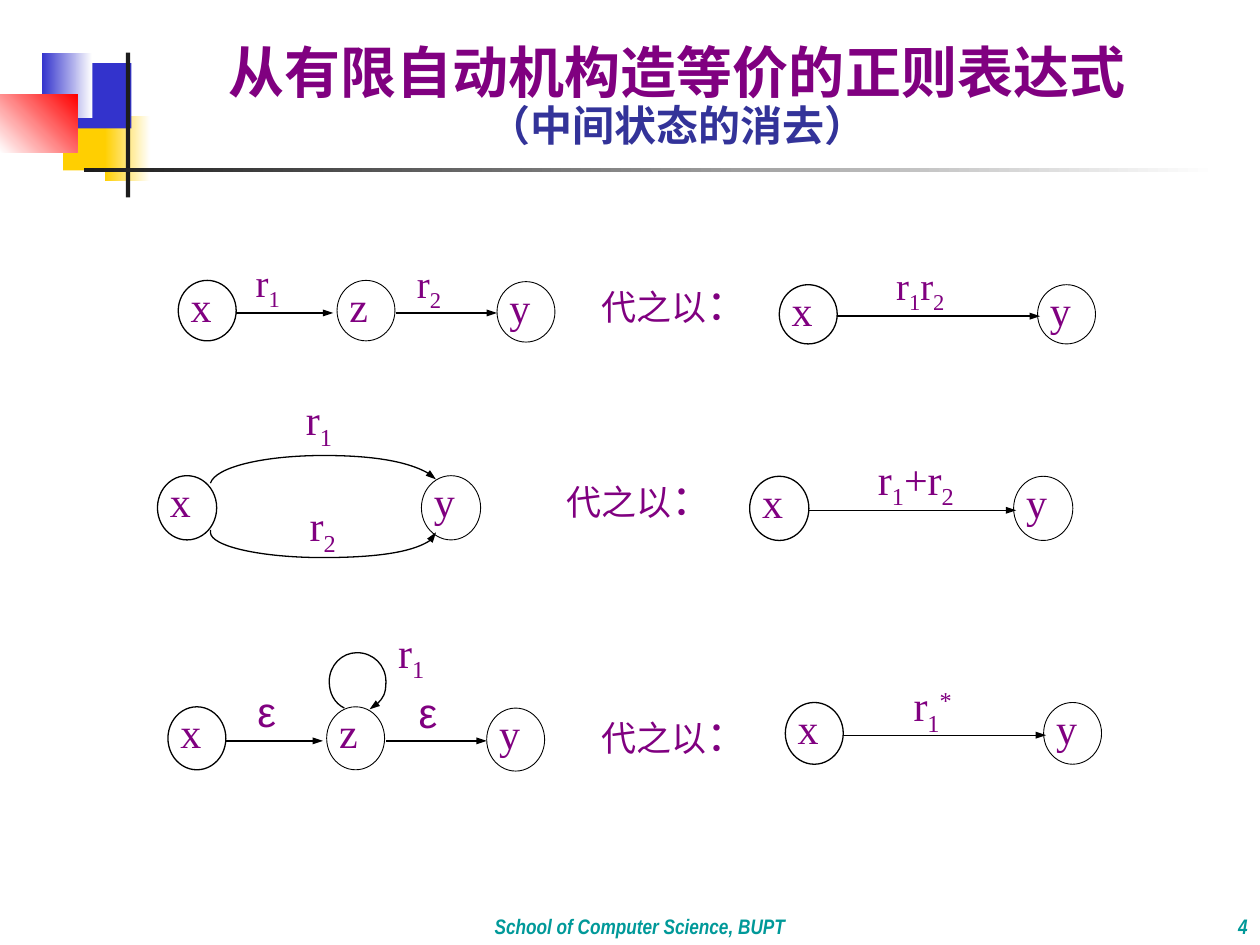
from dataclasses import dataclass
import itertools

from lxml import etree
from pptx import Presentation
from pptx.dml.color import RGBColor
from pptx.enum import shapes, text
from pptx.oxml.ns import qn
from pptx.util import Inches, Pt


@dataclass(frozen=True)
class Theme:
    purple: str = "800080"
    indigo: str = "333399"
    teal: str = "009999"
    blue: str = "3333CC"
    yellow: str = "FFCF01"
    red: str = "FF0000"
    ink: str = "1C1C1C"
    black: str = "000000"
    white: str = "FFFFFF"
    serif: str = "Times New Roman"
    sans: str = "Arial"
    narrow: str = "Arial Narrow"
    cjk: str = "Noto Sans CJK SC"
    title: float = 32
    subtitle: float = 24
    body: float = 24
    small_label: float = 22.2
    phrase: float = 20
    footer: float = 12
    thick: float = 0.75
    thin: float = 0.5


T = Theme()
COLUMNS, ROWS = 100, 75
SLIDE_W, SLIDE_H = Inches(10), Inches(7.5)
LEFT, CENTER, RIGHT = text.PP_ALIGN.LEFT, text.PP_ALIGN.CENTER, text.PP_ALIGN.RIGHT


def rgb(color):
    return RGBColor.from_string(color)


def grid(*values):
    """Turn alternating columns and rows into slide lengths."""
    return [round(v * (SLIDE_H / ROWS if i % 2 else SLIDE_W / COLUMNS))
            for i, v in enumerate(values)]


def add_run(p, words, size=T.body, font=T.serif, color=T.purple, bold=False,
            italic=False, shift=0):
    r = p.add_run()
    r.text = words
    f = r.font
    f.size, f.name, f.bold, f.italic = Pt(size), font, bold, italic
    f.color.rgb = rgb(color)
    rpr = r._r.get_or_add_rPr()
    if shift:
        rpr.set("baseline", str(shift * 1000))
    etree.SubElement(rpr, qn("a:ea"), typeface=T.cjk)


def text_box(slide, box, align=LEFT, anchor=text.MSO_ANCHOR.TOP, indent=0):
    """Add a box and return its first paragraph; indent is in columns."""
    tf = slide.shapes.add_textbox(*grid(*box)).text_frame
    tf.word_wrap = True
    tf.vertical_anchor = anchor
    tf.margin_left = grid(1 + indent)[0]
    p = tf.paragraphs[0]
    p.alignment = align
    return p


def label(slide, box, formula, indent=0, size=T.body):
    """Write a formula in which _ lowers and ^ raises the next character."""
    p = text_box(slide, box, indent=indent)
    shifts = []
    for before, ch in zip(" " + formula, formula):
        if ch not in "_^":
            shifts.append((ch, {"_": -25, "^": 30}.get(before, 0)))
    for shift, part in itertools.groupby(shifts, key=lambda pair: pair[1]):
        words = "".join(ch for ch, _ in part)
        add_run(p, words, size, T.sans if words == "ε" else T.serif, shift=shift)


def outline(sp, width, arrow=False):
    sp.line.color.rgb = rgb(T.black)
    sp.line.width = Pt(width)
    if arrow:
        ln = sp._element.spPr.find(qn("a:ln"))
        etree.SubElement(ln, qn("a:tailEnd"), type="triangle", w="sm", len="med")


def straight_arrow(slide, x1, x2, y):
    sp = slide.shapes.add_connector(shapes.MSO_CONNECTOR.STRAIGHT, *grid(x1, y, x2, y))
    outline(sp, T.thick, arrow=True)
    etree.SubElement(sp._element.spPr, qn("a:effectLst"))


def curved_arrow(slide, x, y, start, *points):
    """Draw cubic curves, three points each, relative to (x, y)."""
    placed = [tuple(grid(x + px, y + py)) for px, py in (start,) + points]
    builder = slide.shapes.build_freeform(*placed[0])
    builder.add_line_segments(placed[1:], close=False)
    sp = builder.convert_to_shape()
    outline_path = next(sp._element.iter(qn("a:path")))
    segments = outline_path.findall(qn("a:lnTo"))
    for i in range(0, len(segments), 3):
        curve = etree.SubElement(outline_path, qn("a:cubicBezTo"))
        for segment in segments[i:i + 3]:
            curve.append(segment[0])
            outline_path.remove(segment)
    sp.shadow.inherit = False
    sp.fill.background()
    outline(sp, T.thick, arrow=True)


def state(slide, box, name):
    x, y, w, h = box
    sp = slide.shapes.add_shape(shapes.MSO_SHAPE.OVAL, *grid(*box))
    sp.shadow.inherit = False
    sp.fill.background()
    outline(sp, T.thick if name == "x" else T.thin)
    label(slide, (x, y - 0.5, w * 1.2, h * 1.26), name)


def chain(slide, box, formulas, indent, size=T.body):
    """Place x, z and y in a row; box is that of the first state."""
    x, y, w, h = box
    lefts = (x, x + 12.6, x + 25.3)
    for left, name, drop in zip(lefts, "xzy", (0, 0, 0.1)):
        state(slide, (left, y + drop, w, h), name)
    for i, formula in enumerate(formulas):
        straight_arrow(slide, lefts[i] + w + 0.1 * i, lefts[i + 1] - 0.3 * (1 - i),
                       y + 0.54 * h)
        label(slide, (lefts[i] + 3.6 + 0.2 * i, y - 2.2 + 0.1 * i, 7.5, 5.6),
              formula, indent, size)


def result(slide, box, formula, pitch=20.5, indent=1.67, size=T.body):
    """Place x and y with one arrow; box is that of the first state."""
    x, y, w, h = box
    for i, name in enumerate("xy"):
        state(slide, (x + i * pitch, y, w, h), name)
    straight_arrow(slide, x + w, x + pitch + 0.2, y + 0.53 * h)
    label(slide, (x + 7.5, y - 2.3, 10.2, 5.7), formula, indent, size)


def replaced_by(slide, x, y):
    p = text_box(slide, (x, y, 15, 5.8))
    add_run(p, "代之以", T.phrase)
    add_run(p, "：")


def concatenation(slide, x, y):
    chain(slide, (x, y, 4.6, 4.8), ("r_1", "r_2"), 1.54, T.small_label)
    replaced_by(slide, x + 32.6, y - 0.65)
    result(slide, (x + 47.7, y + 0.35, 4.6, 4.7), "r_1r_2", indent=0.77, size=T.small_label)


def union(slide, x, y):
    w, h, pitch = 4.7, 5.1, 20.95
    for i, name in enumerate("xy"):
        state(slide, (x + i * pitch, y, w, h), name)
    curved_arrow(slide, x, y, (4.2, 0.6),
                 (4.6, -0.7), (8.5, -1.6), (13.2, -1.6),
                 (17.5, -1.6), (21.2, -0.8), (22.1, 0.3))
    curved_arrow(slide, x, y, (4.2, 4.3),
                 (4.2, 4.4), (4.2, 4.5), (4.2, 4.5),
                 (4.2, 5.6), (8.2, 6.5), (13.1, 6.5),
                 (18.1, 6.5), (22.1, 5.6), (22.1, 4.5))
    label(slide, (x + 10.8, y - 7, 5.9, 5.9), "r_1")
    label(slide, (x + 11.1, y + 1.4, 5.9, 5.9), "r_2")
    replaced_by(slide, x + 31.5, y - 0.65)
    result(slide, (x + 47, y + 0.05, w, h), "r_1+r_2", pitch=20.95)


def closure(slide, x, y):
    chain(slide, (x, y, 4.6, 5), ("ε", "ε"), 2.5)
    curved_arrow(slide, x, y, (14, 0.1),
                 (13.2, -0.3), (12.8, -1.1), (12.8, -2),
                 (12.8, -3.3), (13.8, -4.3), (15, -4.3),
                 (16.3, -4.3), (17.3, -3.3), (17.3, -2),
                 (17.3, -1), (16.8, -0.2), (16, 0.2))
    label(slide, (x + 15.6, y - 6.9, 7.4, 5.8), "r_1", 1.67)
    replaced_by(slide, x + 33.4, y - 0.3)
    result(slide, (x + 49, y - 0.35, 4.6, 4.9), "r_1^*")


def decoration(slide, master):
    """Draw the corner blocks and rules, and hand them to the master."""
    blocks = [
        ((5, 8.33, 4.8, 5.2), (T.yellow,), 0),
        ((8.33, 9.17, 3.6, 5.2), (T.yellow, T.white), 0),
        ((5.83, 5, 4.6, 5.2), (T.blue,), 0),
        ((3.33, 4.17, 4, 5.2), (T.blue, T.white), 0),
        ((0, 7.5, 6.15, 4.6), (T.white, T.red), 45),
        ((10, 4.17, 0.33, 11.5), (T.ink,), 0),
        ((6.67, 13.33, 90, 0.33), (T.ink, T.white), 0),
    ]
    for box, colors, angle in blocks:
        sp = slide.shapes.add_shape(shapes.MSO_SHAPE.RECTANGLE, *grid(*box))
        sp.shadow.inherit = False
        sp.line.fill.background()
        if len(colors) == 1:
            sp.fill.solid()
            sp.fill.fore_color.rgb = rgb(colors[0])
        else:
            sp.fill.gradient()
            sp.fill.gradient_angle = angle
            for stop, color, position in zip(sp.fill.gradient_stops, colors, (0, 1)):
                stop.color.rgb, stop.position = rgb(color), position
        master.element.cSld.spTree.append(sp._element)


def heading(slide, box):
    sp = slide.shapes.title
    sp.left, sp.top, sp.width, sp.height = grid(*box)
    tf = sp.text_frame
    tf.auto_size = text.MSO_AUTO_SIZE.NONE
    tf.vertical_anchor = text.MSO_ANCHOR.BOTTOM
    first, second = tf.paragraphs[0], tf.add_paragraph()
    for p in (first, second):
        p.alignment, p.line_spacing = CENTER, 0.9
    add_run(first, "从有限自动机构造等价的", T.title, bold=True)
    add_run(first, "正则表达式", T.title, T.cjk, bold=True)
    add_run(second, "（中间状态的消去）", T.subtitle, T.sans, T.indigo, bold=True)


def footer(slide, y, h):
    for x, w, words, align, spacing in ((83.3, 16.7, "4", RIGHT, 1),
                                        (15.8, 70, "School of Computer Science, BUPT", CENTER, 1.1)):
        p = text_box(slide, (x, y, w, h), align, text.MSO_ANCHOR.BOTTOM)
        p.line_spacing = spacing
        add_run(p, words, T.footer, T.narrow, T.teal, bold=True, italic=True)


def main():
    prs = Presentation()
    prs.slide_width, prs.slide_height = SLIDE_W, SLIDE_H
    slide = prs.slides.add_slide(prs.slide_layouts[5])
    decoration(slide, prs.slide_master)
    heading(slide, (10, 3.3, 87.5, 9.17))
    concatenation(slide, 14.15, 22.25)
    union(slide, 12.5, 37.75)
    closure(slide, 13.33, 56.1)
    footer(slide, 70, 5)
    prs.save("out.pptx")


if __name__ == "__main__":
    main()
